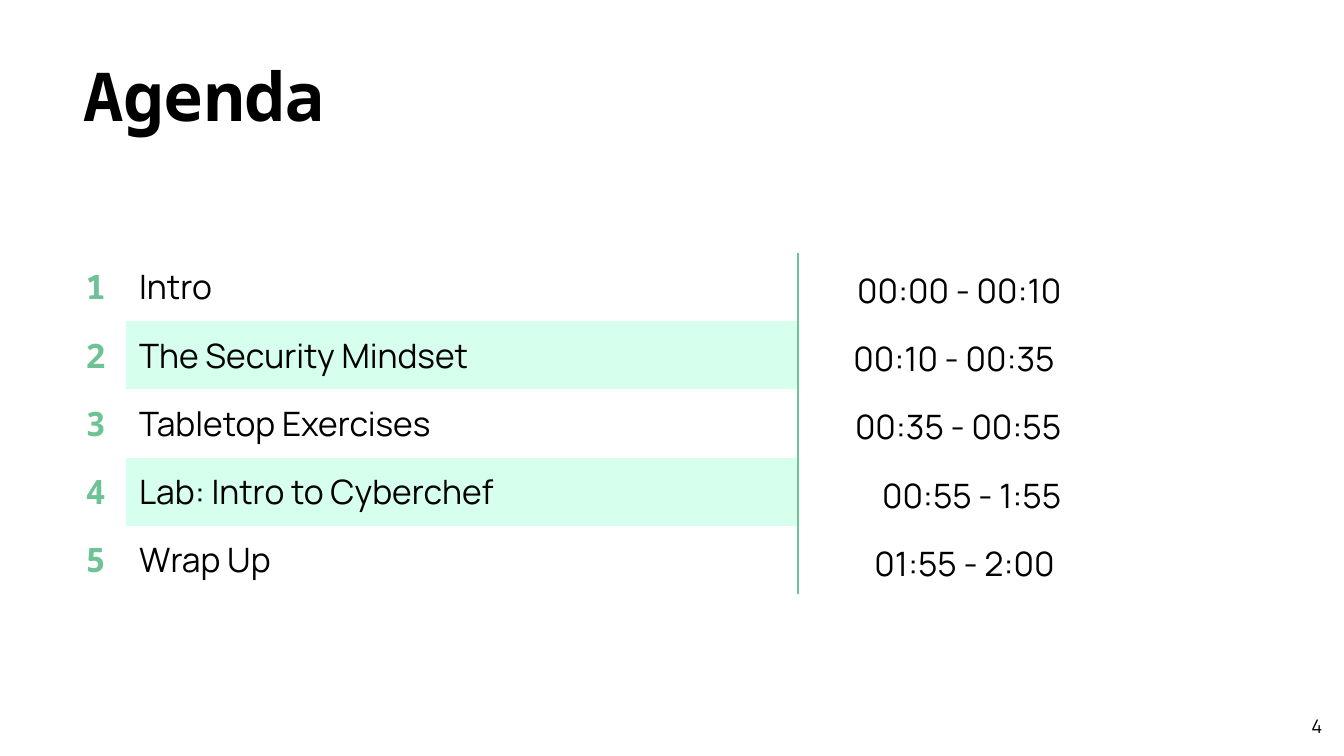
from lxml import etree
from pptx import Presentation
from pptx.dml.color import RGBColor
from pptx.enum.text import MSO_ANCHOR, MSO_AUTO_SIZE, PP_ALIGN
from pptx.oxml import parse_xml
from pptx.oxml.ns import nsdecls, qn
from pptx.util import Cm, Pt

MONO, SANS = "Noto Sans Mono", "Manrope"
BLACK, GREEN, MINT = "000000", "6EC396", "D7FFEE"
NO_STYLE = "{2D5ABB26-0587-4C30-8999-92F81FD0307C}"


def rgb(value):
    return RGBColor.from_string(value)


def write(tf, text, fmt, color, align):
    p = tf.paragraphs[0]
    p.alignment = align
    r = p.add_run()
    r.text = text
    for name, value in fmt.items():
        setattr(r.font, name, value)
    r.font.color.rgb = rgb(color)
    return p


prs = Presentation()
prs.slide_width, prs.slide_height = Cm(25.4), Cm(14.29)
s = prs.slides.add_slide(prs.slide_layouts[5])

title = s.shapes.title
title.left, title.top, title.width, title.height = Cm(1.52), Cm(0.97), Cm(22.89), Cm(1.83)
tf = title.text_frame
frame = {"margin_left": Cm(0.05), "margin_right": Cm(0.05), "margin_top": Cm(0.05),
         "margin_bottom": Cm(0.05), "vertical_anchor": MSO_ANCHOR.TOP,
         "auto_size": MSO_AUTO_SIZE.NONE, "word_wrap": True}
for name, value in frame.items():
    setattr(tf, name, value)
write(tf, "Agenda", {"name": MONO, "size": Pt(36), "bold": True}, BLACK, PP_ALIGN.LEFT)

number = s.shapes.add_textbox(Cm(23.72), Cm(13.31), Cm(1.52), Cm(0.84))
tf = number.text_frame
frame = {"margin_left": Cm(0.25), "margin_right": Cm(0.25), "margin_top": Cm(0.25),
         "margin_bottom": Cm(0.25), "vertical_anchor": MSO_ANCHOR.MIDDLE, "word_wrap": True}
for name, value in frame.items():
    setattr(tf, name, value)
write(tf, "4", {"name": SANS, "size": Pt(10)}, BLACK, PP_ALIGN.RIGHT)

agenda = [
    ("Intro", "00:00 - 00:10"),
    ("The Security Mindset", "00:10 - 00:35 "),
    ("Tabletop Exercises", "00:35 - 00:55"),
    ("Lab: Intro to Cyberchef", "00:55 - 1:55"),
    ("Wrap Up", "01:55 - 2:00 "),
]
widths = [Cm(1.14), Cm(12.7), Cm(5.23)]
row_height = Cm(1.29)
columns = [
    (MONO, True, GREEN, PP_ALIGN.CENTER, None),
    (SANS, False, BLACK, PP_ALIGN.LEFT, "lnR"),
    (SANS, False, BLACK, PP_ALIGN.RIGHT, "lnL"),
]
table = s.shapes.add_table(len(agenda), len(columns), Cm(1.24), Cm(4.78),
                           sum(widths), row_height * len(agenda)).table
table.first_row = table.horz_banding = False
table._tbl.tblPr.find(qn("a:tableStyleId")).text = NO_STYLE
for column, width in zip(table.columns, widths):
    column.width = width

cell_format = {"margin_left": Cm(0.25), "margin_right": Cm(0.25), "margin_top": 0,
               "margin_bottom": 0, "vertical_anchor": MSO_ANCHOR.MIDDLE}
for i, (topic, time) in enumerate(agenda):
    table.rows[i].height = row_height
    for j, text in enumerate((str(i + 1), topic, time)):
        font, bold, color, align, side = columns[j]
        cell = table.cell(i, j)
        for name, value in cell_format.items():
            setattr(cell, name, value)
        p = write(cell.text_frame, text, {"name": font, "size": Pt(18), "bold": bold}, color, align)
        if j == 2:
            p.line_spacing = 1.15
        if j == 1 and i % 2:
            cell.fill.solid()
            cell.fill.fore_color.rgb = rgb(MINT)
        else:
            cell.fill.background()
        if side:
            line = parse_xml(f'<a:{side} {nsdecls("a")} w="{Pt(1.5)}"/>')
            fill = etree.SubElement(line, qn("a:solidFill"))
            etree.SubElement(fill, qn("a:srgbClr"), val=GREEN)
            cell._tc.get_or_add_tcPr().insert(0, line)

prs.save("out.pptx")
